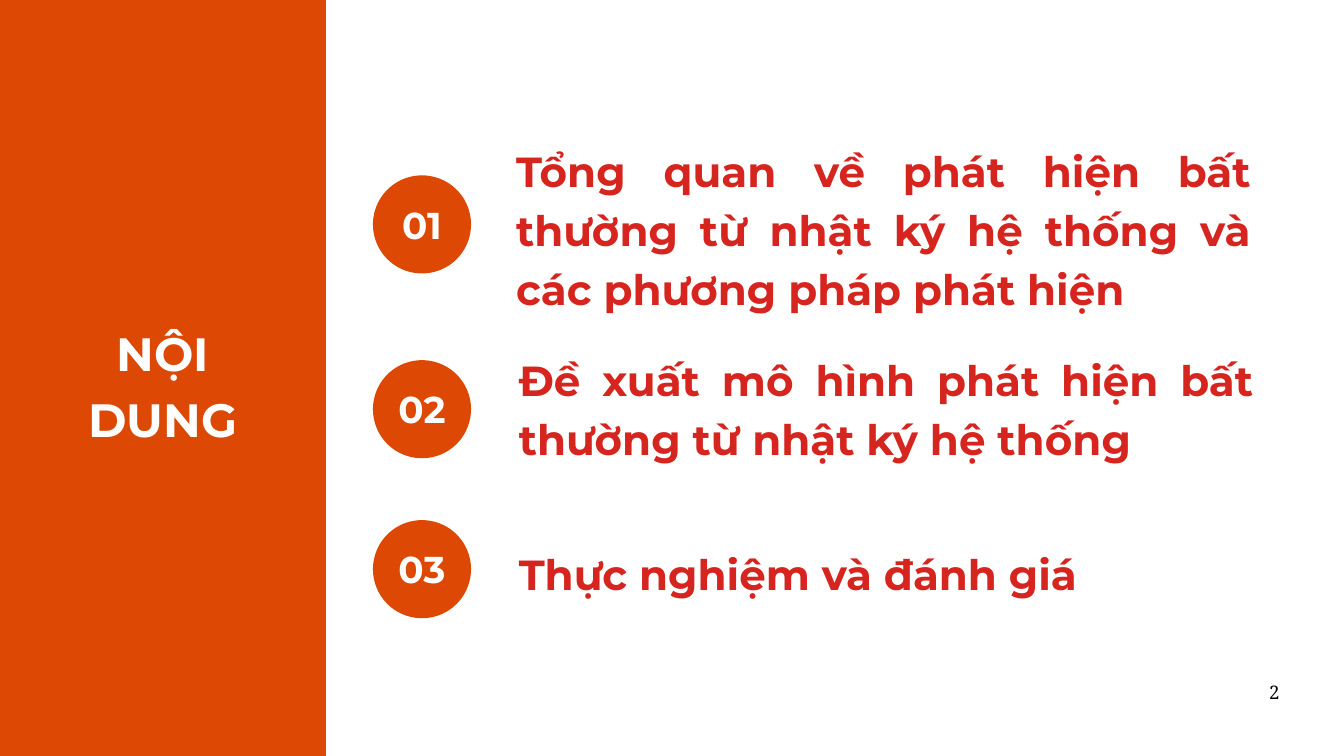
from dataclasses import dataclass

from pptx import Presentation
from pptx.dml.color import RGBColor
from pptx.enum import shapes, text
from pptx.util import Inches, Pt

COLORS = {"orange": "DD4904", "red": "D6241E", "white": "FFFFFF", "black": "000000"}
ALIGN = text.PP_ALIGN
ANCHOR = text.MSO_ANCHOR


@dataclass
class Topic:
    label: str
    words: str
    disc_top: float
    left: float
    top: float
    width: float
    height: float
    align: text.PP_ALIGN = ALIGN.JUSTIFY


TOPICS = [
    Topic("01", "Tổng quan về phát hiện bất thường từ nhật ký hệ thống và các phương pháp phát hiện",
          2.61, 7.68, 2.04, 10.93, 2.53),
    Topic("02", "Đề xuất mô hình phát hiện bất thường từ nhật ký hệ thống",
          5.36, 7.72, 5.15, 10.93, 1.67),
    Topic("03", "Thực nghiệm và đánh giá", 7.74, 7.72, 8.04, 11.23, 0.8, ALIGN.LEFT),
]


def write(shape, words: str, *, size: float, color: str, lead: float, font: str = "Montserrat",
          bold: bool = True, align=ALIGN.CENTER, anchor=ANCHOR.TOP, wrap: bool = True,
          foot: float = 0) -> None:
    frame = shape.text_frame
    frame.auto_size = text.MSO_AUTO_SIZE.NONE
    frame.word_wrap = wrap
    frame.vertical_anchor = anchor
    frame.margin_left = frame.margin_right = frame.margin_top = 0
    frame.margin_bottom = Inches(foot)
    para = frame.paragraphs[0]
    para.alignment = align
    para.line_spacing = Pt(lead)
    para.space_before = Pt(0)
    run = para.add_run()
    run.text = words
    run.font.name = font
    run.font.size = Pt(size)
    run.font.bold = bold
    run.font.color.rgb = RGBColor.from_string(COLORS[color])


def add_box(slide, left: float, top: float, width: float, height: float):
    return slide.shapes.add_textbox(Inches(left), Inches(top), Inches(width), Inches(height))


def add_fill(slide, kind, left: float, top: float, width: float, height: float):
    shape = slide.shapes.add_shape(kind, Inches(left), Inches(top), Inches(width), Inches(height))
    shape.shadow.inherit = False
    shape.fill.solid()
    shape.fill.fore_color.rgb = RGBColor.from_string(COLORS["orange"])
    shape.line.fill.background()
    return shape


def add_topic(slide, topic: Topic) -> None:
    disc = add_fill(slide, shapes.MSO_SHAPE.OVAL, 5.55, topic.disc_top, 1.46, 1.46)
    # The foot margin lifts the number a little above the middle
    write(disc, topic.label, size=40, color="white", lead=56, anchor=ANCHOR.MIDDLE, foot=0.12)
    box = add_box(slide, topic.left, topic.top, topic.width, topic.height)
    write(box, topic.words, size=45, color="red", lead=63, align=topic.align)


def main() -> None:
    deck = Presentation()
    deck.slide_width, deck.slide_height = Inches(20), Inches(11.25)
    slide = deck.slides.add_slide(deck.slide_layouts[5])

    # Side panel, placed behind the title
    panel = add_fill(slide, shapes.MSO_SHAPE.RECTANGLE, 0, 0, 4.85, 11.25)
    title = slide.shapes.title
    title._element.addprevious(panel._element)
    title.left, title.top = Inches(0.53), Inches(4.7)
    title.width, title.height = Inches(3.79), Inches(1.95)
    write(title, "NỘI DUNG", size=50, color="white", lead=70)

    # Numbered topics
    for topic in TOPICS:
        add_topic(slide, topic)

    # Page number
    page = add_box(slide, 18.88, 10.07, 0.17, 0.22)
    write(page, "2", size=20, color="black", lead=28, font="Noto Serif", bold=False, wrap=False)

    deck.save("out.pptx")


if __name__ == "__main__":
    main()
